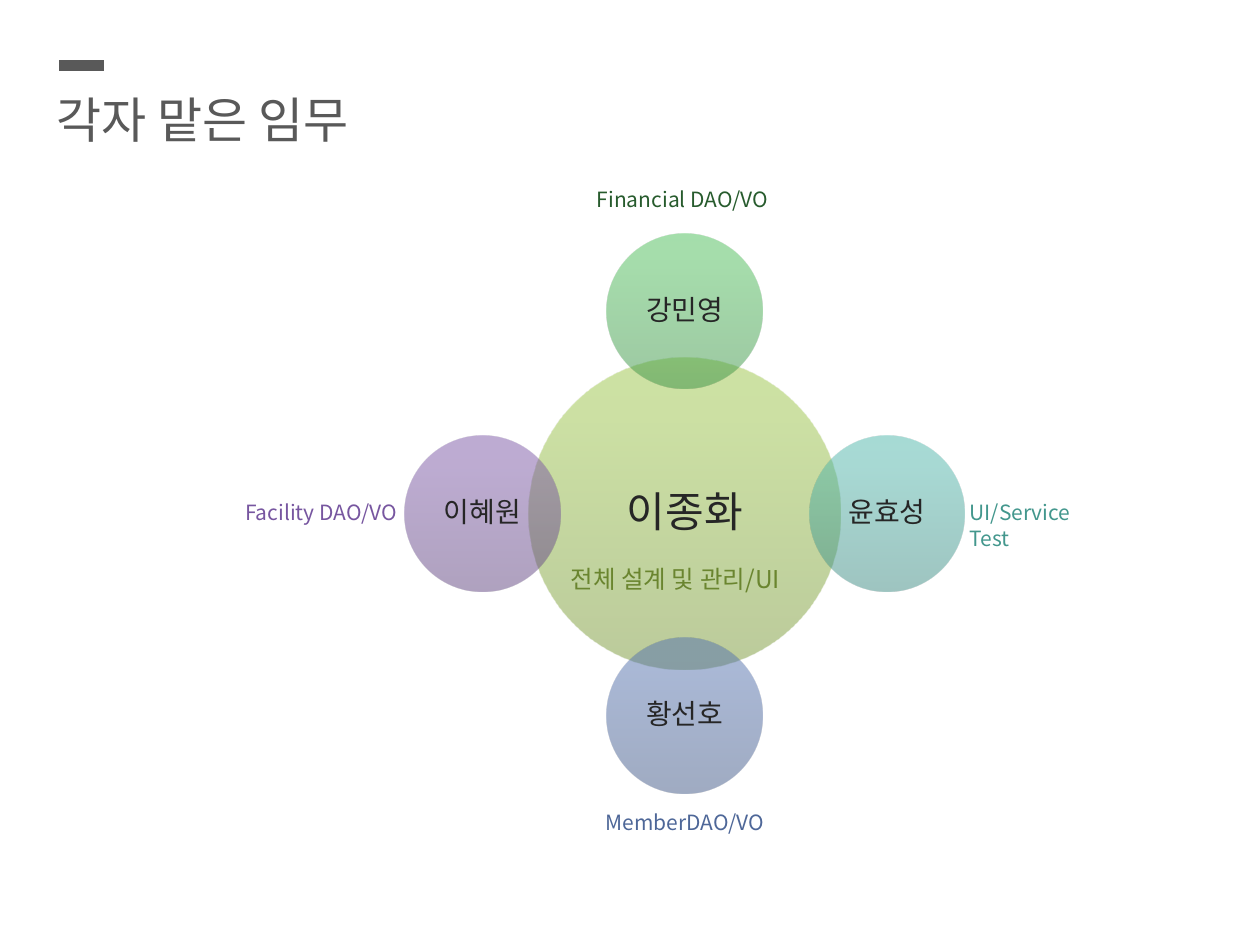
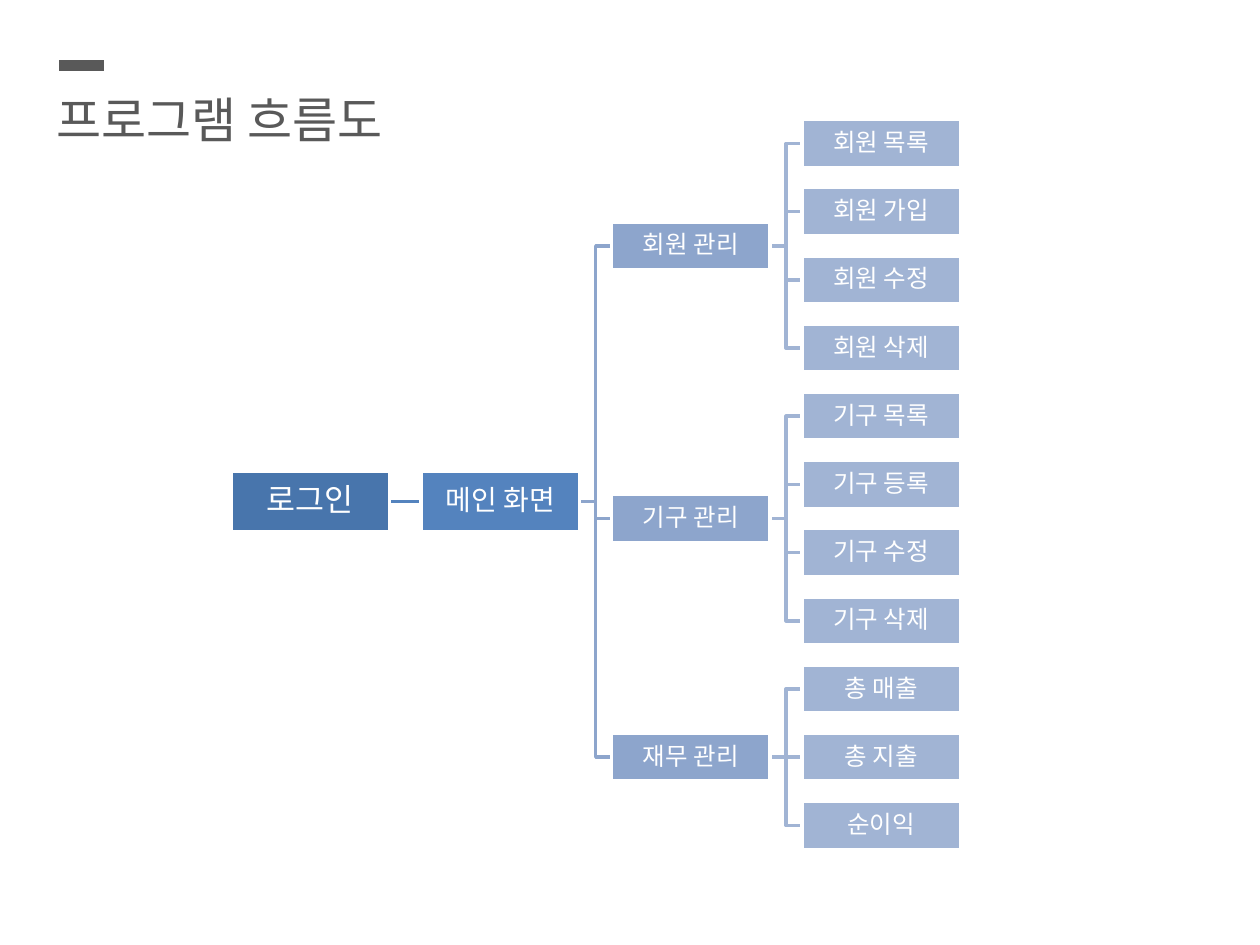
from lxml import etree
from pptx import Presentation
from pptx.dml.color import RGBColor
from pptx.enum.shapes import MSO_CONNECTOR, MSO_SHAPE
from pptx.enum.text import MSO_ANCHOR, PP_ALIGN
from pptx.oxml import parse_xml
from pptx.oxml.ns import nsdecls, qn
from pptx.util import Pt

ELLIPSE, RECTANGLE = MSO_SHAPE.OVAL, MSO_SHAPE.RECTANGLE
STRAIGHT, ELBOW = MSO_CONNECTOR.STRAIGHT, MSO_CONNECTOR.ELBOW
MIDDLE, TOP = MSO_ANCHOR.MIDDLE, MSO_ANCHOR.TOP
CENTER, LEFT = PP_ALIGN.CENTER, PP_ALIGN.LEFT
LEFT_SIDE, RIGHT_SIDE = 1, 3

COLORS = {
    "heading": "595959", "name": "262626", "white": "FFFFFF",
    "finance": "275B2D", "facility": "7756A0", "service": "43978D",
    "member": "4E6798", "lead": "6A852F",
    "login": "4875AC", "main": "5483BE", "menu": "8DA5CC", "action": "A1B4D4",
}
# Gradient stops at 0, 80 and 100 percent, from bottom to top
GRADIENTS = {
    "lead": ("779737", "9BC348", "9DC746"),
    "finance": ("3A9144", "4CBC58", "4ABF57"),
    "service": ("3D8B83", "50B5AA", "4EB8AC"),
    "member": ("405786", "5471AE", "5271B0"),
    "facility": ("5F4480", "7B58A6", "7C57A8"),
}


class Deck:
    title_font = "Arial"
    body_font = "Noto Sans CJK KR"

    def __init__(self):
        self.presentation = Presentation()
        self.presentation.slide_width = Pt(720)
        self.presentation.slide_height = Pt(540)
        self.slide = None

    def color(self, key):
        return RGBColor.from_string(COLORS[key])

    def new_slide(self, title):
        self.slide = self.presentation.slides.add_slide(
            self.presentation.slide_layouts[6])
        self.text(title, 25.2, 47.5, 408, 41, 28, "heading", self.title_font)
        self.line(STRAIGHT, (33.8, 37.4), (59.6, 37.4), "heading", 6)

    def add_words(self, frame, words, size, color, font, align):
        paragraph = frame.paragraphs[0]
        paragraph.alignment = align
        run = paragraph.add_run()
        run.text = words
        run.font.size = Pt(size)
        run.font.name = font
        run.font.color.rgb = self.color(color)
        east_asian = etree.SubElement(run.font._element, qn("a:ea"))
        east_asian.set("typeface", self.body_font)
        return paragraph

    def text(self, words, x, y, width, height, size, color, font=body_font):
        box = self.slide.shapes.add_textbox(Pt(x), Pt(y), Pt(width), Pt(height))
        frame = box.text_frame
        frame.word_wrap = True
        frame.vertical_anchor = TOP
        self.add_words(frame, words, size, color, font, LEFT)

    def node(self, kind, center, width, height, words, size, color, inset):
        """Add a preset shape around a centre, with its caption inside."""
        x, y = center
        shape = self.slide.shapes.add_shape(
            kind, Pt(x - width / 2), Pt(y - height / 2), Pt(width), Pt(height))
        shape.shadow.inherit = False
        frame = shape.text_frame
        frame.word_wrap = True
        frame.vertical_anchor = MIDDLE
        frame.margin_left = frame.margin_right = Pt(inset)
        frame.margin_top = frame.margin_bottom = Pt(inset)
        caption = self.add_words(frame, words, size, color, self.body_font, CENTER)
        caption.line_spacing = 0.9
        return shape

    def circle(self, center, radius, words, size, part):
        shape = self.node(ELLIPSE, center, 2 * radius, 2 * radius,
                          words, size, "name", 1.5)
        shape.line.fill.background()
        stops = "".join(
            f'<a:gs pos="{percent * 1000}"><a:srgbClr val="{color}">'
            f'<a:alpha val="50000"/></a:srgbClr></a:gs>'
            for percent, color in zip((0, 80, 100), GRADIENTS[part]))
        gradient = parse_xml(
            f'<a:gradFill {nsdecls("a")} rotWithShape="1"><a:gsLst>{stops}</a:gsLst>'
            '<a:lin ang="16200000" scaled="0"/></a:gradFill>')
        properties = shape._element.spPr
        properties.find(qn("a:prstGeom")).addnext(gradient)

    def box(self, center, width, height, words, size, level):
        shape = self.node(RECTANGLE, center, width, height,
                          words, size, "white", 0.7)
        shape.fill.solid()
        shape.fill.fore_color.rgb = self.color(level)
        shape.line.color.rgb = self.color("white")
        shape.line.width = Pt(2)
        return shape

    def line(self, kind, start, end, color, width):
        connector = self.slide.shapes.add_connector(
            kind, *(Pt(value) for value in (*start, *end)))
        connector.line.color.rgb = self.color(color)
        connector.line.width = Pt(width)
        etree.SubElement(connector._element.spPr, qn("a:effectLst"))
        return connector

    def branch(self, parent, child, color):
        """Join two boxes side to side, behind all the boxes."""
        start = (parent.left + parent.width, parent.top + parent.height // 2)
        end = (child.left, child.top + child.height // 2)
        level = abs(start[1] - end[1]) < Pt(1)
        connector = self.line(STRAIGHT if level else ELBOW,
                              [v / Pt(1) for v in start],
                              [v / Pt(1) for v in end], color, 2)
        connector.begin_connect(parent, RIGHT_SIDE)
        connector.end_connect(child, LEFT_SIDE)
        self.slide.shapes._spTree.insert(2, connector._element)


# part, name, direction from the hub
MEMBERS = [
    ("finance", "강민영", (0, -1)),
    ("service", "윤효성", (1, 0)),
    ("member", "황선호", (0, 1)),
    ("facility", "이혜원", (-1, 0)),
]
# part, words, left, top, width, size
DUTIES = [
    ("finance", "Financial DAO/VO", 334, 103, 114, 12),
    ("facility", "Facility DAO/VO", 133, 282.2, 103, 12),
    ("service", "UI/Service Test", 547, 282.2, 95, 12),
    ("member", "MemberDAO/VO", 339, 458.8, 108, 12),
    ("lead", "전체 설계 및 관리/UI", 319, 319, 148, 14),
]


def duties_slide(deck):
    deck.new_slide("각자 맡은 임무")
    hub_x, hub_y = 391.3, 293.4
    orbit = 115.6
    deck.circle((hub_x, hub_y), 89, "이종화", 24, "lead")
    for part, name, (dx, dy) in MEMBERS:
        deck.circle((hub_x + dx * orbit, hub_y + dy * orbit), 44.5, name, 16, part)
    for part, words, x, y, width, size in DUTIES:
        deck.text(words, x, y, width, 22, size, part)


FLOW = ("로그인", [("메인 화면", [
    ("회원 관리", [(f"회원 {action}", []) for action in ("목록", "가입", "수정", "삭제")]),
    ("기구 관리", [(f"기구 {action}", []) for action in ("목록", "등록", "수정", "삭제")]),
    ("재무 관리", [(result, []) for result in ("총 매출", "총 지출", "순이익")]),
])])
# level, box height, text size
LEVELS = [("login", 34.4, 18), ("main", 34.4, 16), ("menu", 27.4, 14), ("action", 27.4, 14)]


def flow_slide(deck):
    deck.new_slide("프로그램 흐름도")
    first_x, column_pitch, box_width = 177.2, 108.8, 90.6
    first_y, row_pitch = 82, 38.97
    rows_used = 0

    def grow(step, depth):
        """Place a step midway between its outer followers; return box and y."""
        nonlocal rows_used
        words, followers = step
        level, height, size = LEVELS[depth]
        placed = [grow(follower, depth + 1) for follower in followers]
        if placed:
            y = (placed[0][1] + placed[-1][1]) / 2
        else:
            y = first_y + rows_used * row_pitch
            rows_used += 1
        center = (first_x + depth * column_pitch, y)
        box = deck.box(center, box_width, height, words, size, level)
        for follower_box, _ in placed:
            deck.branch(box, follower_box, LEVELS[depth + 1][0])
        return box, y

    grow(FLOW, 0)


def main():
    deck = Deck()
    duties_slide(deck)
    flow_slide(deck)
    deck.presentation.save("out.pptx")


if __name__ == "__main__":
    main()
